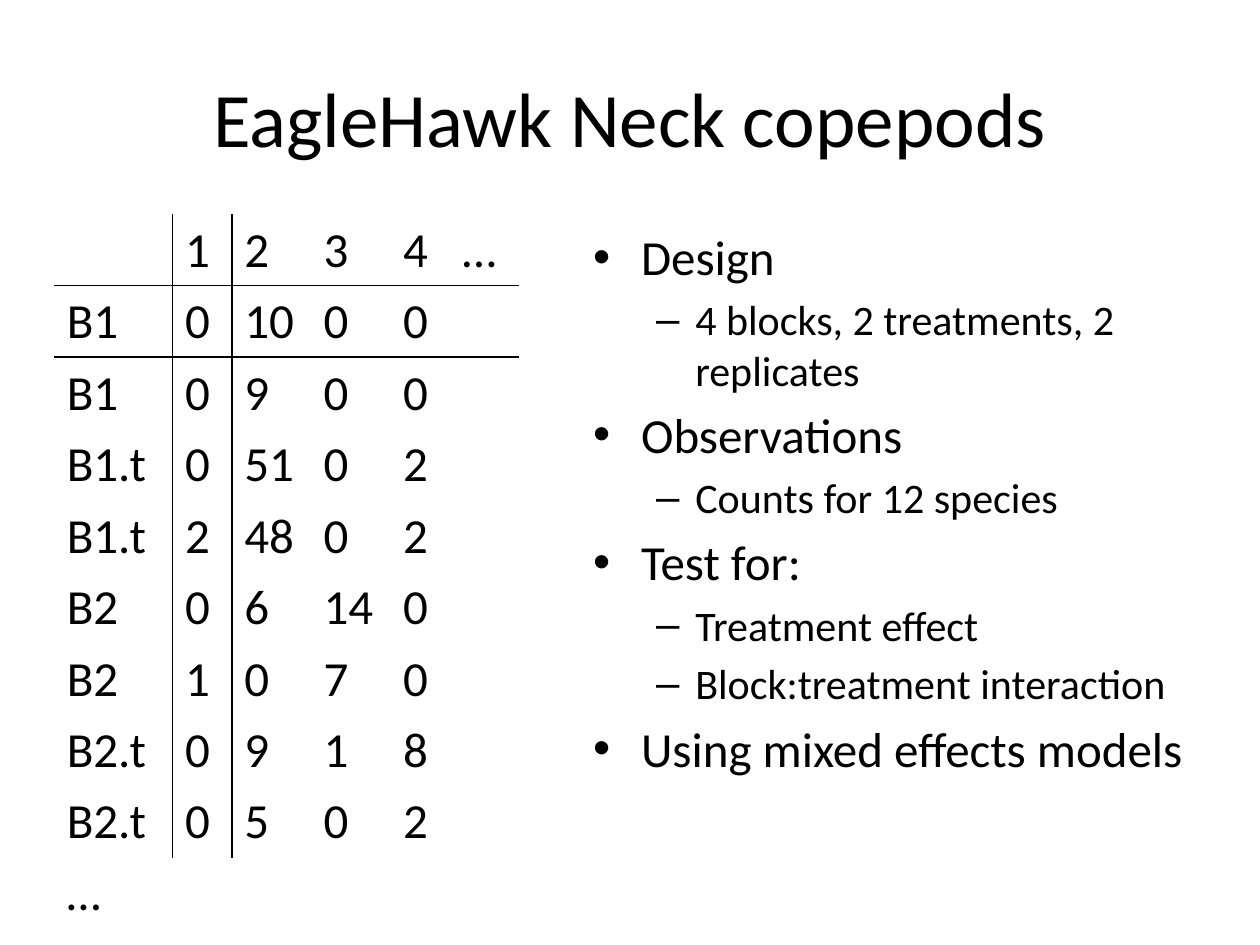
from dataclasses import dataclass

from lxml import etree
from pptx import Presentation
from pptx import util as u
from pptx.dml.color import RGBColor
from pptx.enum import text
from pptx.oxml import ns


@dataclass(frozen=True)
class Theme:
    font: str = "Calibri"
    ink: str = "000000"
    title: int = 44
    point: int = 28
    detail: int = 24
    rule: int = 1


THEME = Theme()
NO_STYLE_NO_GRID = "{2D5ABB26-0587-4C30-8999-92F81FD0307C}"

# Counts per sample: label, then species 1 to 4
COUNTS = [
    ["", "1", "2", "3", "4", "…"],
    ["B1", "0", "10", "0", "0"],
    ["B1", "0", "9", "0", "0"],
    ["B1.t", "0", "51", "0", "2"],
    ["B1.t", "2", "48", "0", "2"],
    ["B2", "0", "6", "14", "0"],
    ["B2", "1", "0", "7", "0"],
    ["B2.t", "0", "9", "1", "8"],
    ["B2.t", "0", "5", "0", "2"],
    ["…"],
]
COLUMN_WIDTHS = [0.94, 0.47, 0.63, 0.63, 0.47, 0.55]

# Outline level and wording
STUDY = [
    (0, "Design"),
    (1, "4 blocks, 2 treatments, 2 replicates"),
    (0, "Observations"),
    (1, "Counts for 12 species"),
    (0, "Test for:"),
    (1, "Treatment effect"),
    (1, "Block:treatment interaction"),
    (0, "Using mixed effects models"),
]
# Bullet, left margin, hanging indent and size for each level
LEVELS = [("•", 0.38, 0.38, THEME.point), ("–", 0.81, 0.31, THEME.detail)]


def add_run(paragraph, wording, size):
    run = paragraph.add_run()
    run.text = wording
    run.font.name = THEME.font
    run.font.size = u.Pt(size)
    run.font.color.rgb = RGBColor.from_string(THEME.ink)


def add_frame(slide, box, anchor):
    frame = slide.shapes.add_textbox(*map(u.Inches, box)).text_frame
    frame.word_wrap = True
    frame.vertical_anchor = anchor
    return frame


def set_borders(cell, sides):
    """Rule the given sides, in the order L, R, T, B."""
    properties = cell._tc.get_or_add_tcPr()
    for position, side in enumerate(side for side in "LRTB" if side in sides):
        line = etree.Element(ns.qn(f"a:ln{side}"), w=str(u.Pt(THEME.rule)))
        fill = etree.SubElement(line, ns.qn("a:solidFill"))
        etree.SubElement(fill, ns.qn("a:srgbClr"), val=THEME.ink)
        properties.insert(position, line)


def add_title(slide, box):
    paragraph = add_frame(slide, box, text.MSO_ANCHOR.MIDDLE).paragraphs[0]
    paragraph.alignment = text.PP_ALIGN.CENTER
    add_run(paragraph, "EagleHawk Neck copepods", THEME.title)


def add_counts(slide, left, top, row_height):
    rows, columns = len(COUNTS), len(COLUMN_WIDTHS)
    table = slide.shapes.add_table(
        rows, columns, u.Inches(left), u.Inches(top),
        u.Inches(sum(COLUMN_WIDTHS)), u.Inches(row_height * rows)).table
    table.first_row = table.horz_banding = False
    table._tbl.tblPr.find(ns.qn("a:tableStyleId")).text = NO_STYLE_NO_GRID
    for column, width in zip(table.columns, COLUMN_WIDTHS):
        column.width = u.Inches(width)

    for r, counts in enumerate(COUNTS):
        table.rows[r].height = u.Inches(row_height)
        for c in range(columns):
            cell = table.cell(r, c)
            cell.fill.background()
            if c < len(counts) and counts[c]:
                add_run(cell.text_frame.paragraphs[0], counts[c], THEME.point)
            # Rules beside the labels and under the header
            sides = {0: "B", 1: "T"}.get(r, "")
            if r < rows - 1:
                sides += {0: "R", 1: "L"}.get(c, "")
            set_borders(cell, sides)


def add_study(slide, box):
    frame = add_frame(slide, box, text.MSO_ANCHOR.TOP)
    for i, (level, wording) in enumerate(STUDY):
        bullet, margin, hanging, size = LEVELS[level]
        paragraph = frame.add_paragraph() if i else frame.paragraphs[0]
        paragraph.level = level
        properties = paragraph._p.get_or_add_pPr()
        properties.set("marL", str(u.Inches(margin)))
        properties.set("indent", str(-u.Inches(hanging)))
        etree.SubElement(properties, ns.qn("a:buFont"), typeface="Arial")
        etree.SubElement(properties, ns.qn("a:buChar"), char=bullet)
        if i:
            paragraph.space_before = u.Pt(size * 0.2)
        add_run(paragraph, wording, size)


def main():
    deck = Presentation()
    deck.slide_width, deck.slide_height = u.Inches(10), u.Inches(7.5)
    slide = deck.slides.add_slide(deck.slide_layouts[6])
    add_title(slide, (0.5, 0.3, 9, 1.25))
    add_counts(slide, left=0.43, top=1.7, row_height=0.49)
    add_study(slide, (4.61, 1.75, 4.89, 4.95))
    deck.save("out.pptx")


if __name__ == "__main__":
    main()
